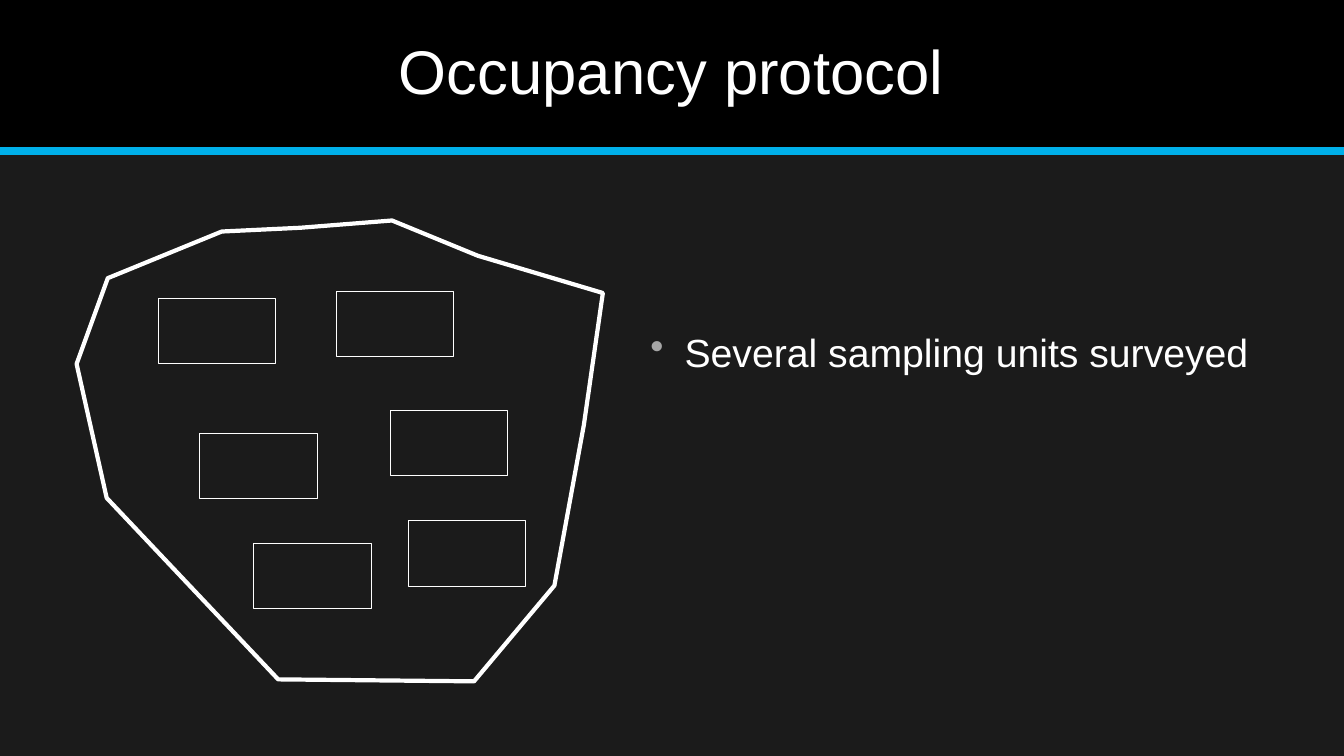
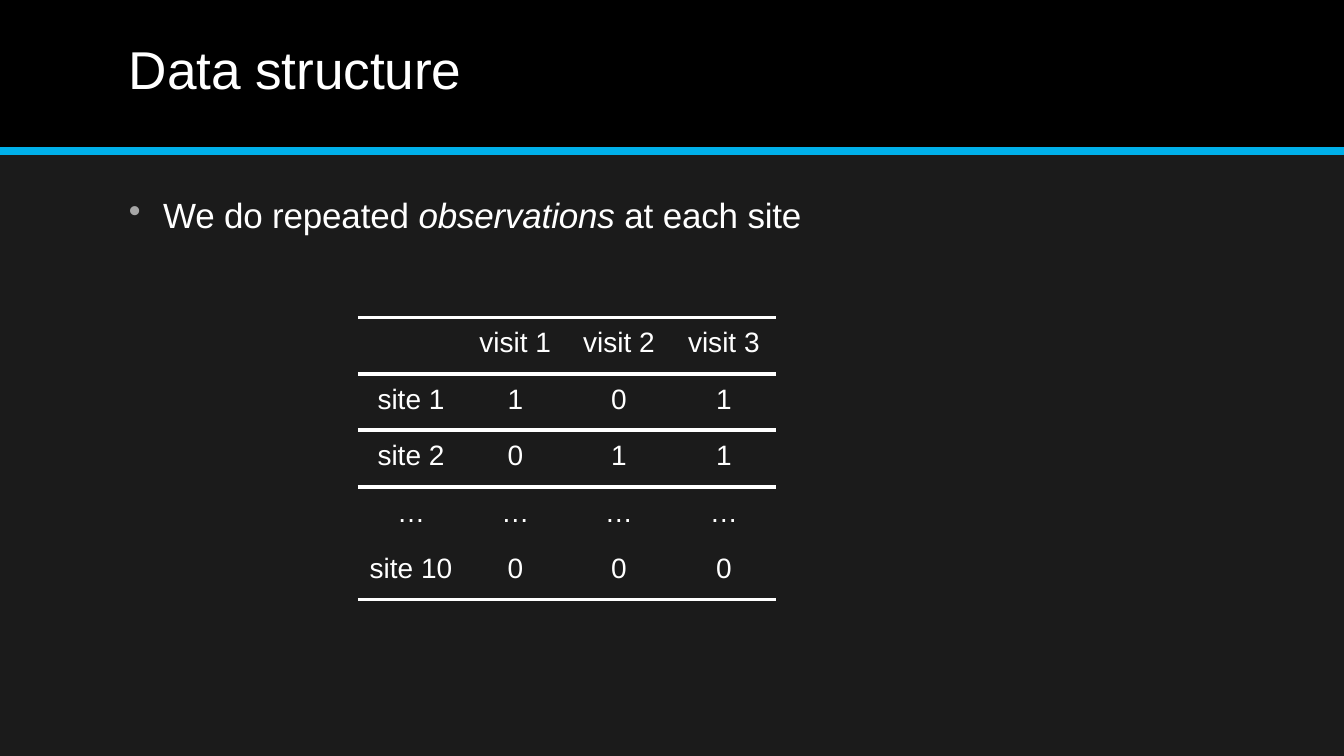
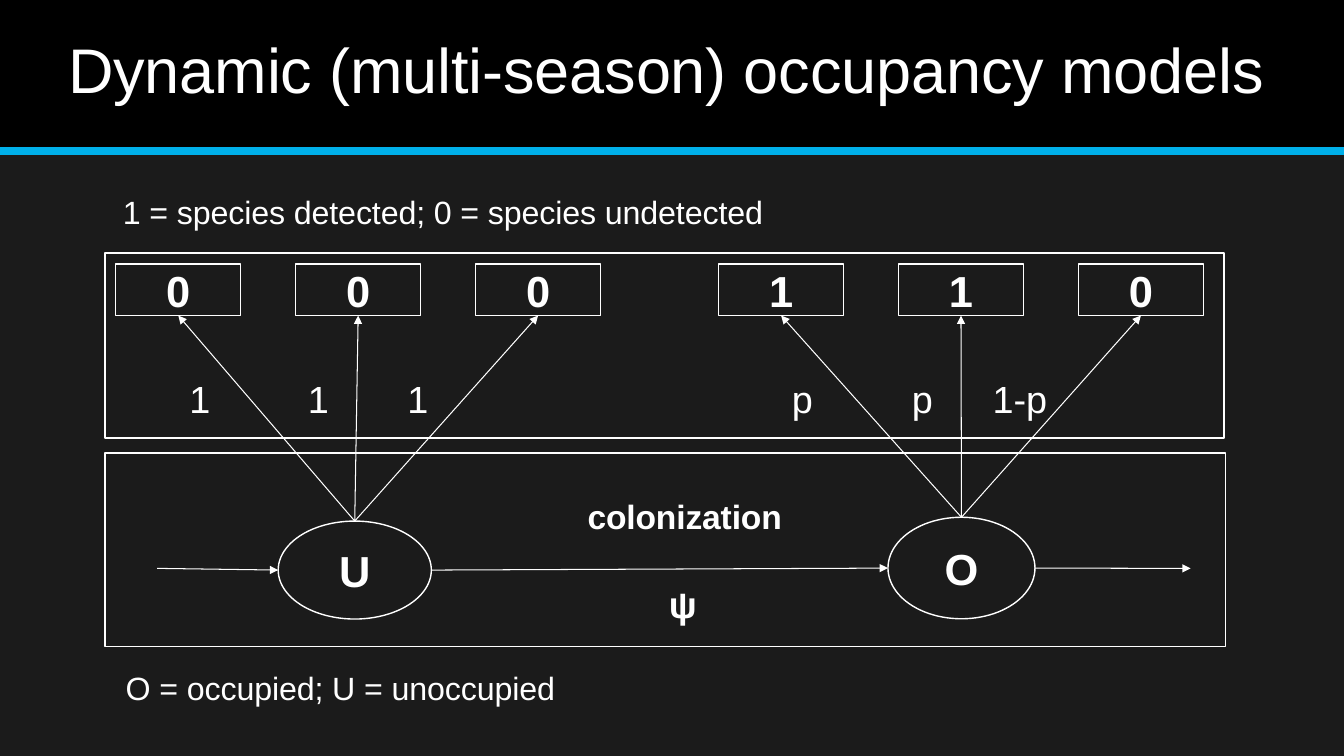
from lxml import etree
from pptx import Presentation
from pptx.dml.color import RGBColor
from pptx.enum.shapes import MSO_CONNECTOR, MSO_SHAPE
from pptx.enum.text import MSO_ANCHOR, MSO_AUTO_SIZE, PP_ALIGN
from pptx.oxml.ns import qn
from pptx.util import Pt

RECT, OVAL = MSO_SHAPE.RECTANGLE, MSO_SHAPE.OVAL
STRAIGHT = MSO_CONNECTOR.STRAIGHT
TOP, MIDDLE = MSO_ANCHOR.TOP, MSO_ANCHOR.MIDDLE
LEFT, CENTER = PP_ALIGN.LEFT, PP_ALIGN.CENTER
NO_FIT = MSO_AUTO_SIZE.NONE
JOIN_TOP, JOIN_BOTTOM = 0, 2

WIDTH, HEIGHT = 960, 540
FONT = "Arial"
INK, GROUND, BAND = "FFFFFF", "1B1B1B", "000000"
ACCENT, BULLET = "00B0EA", "A6A6A6"
NO_STYLE = "{2D5ABB26-0587-4C30-8999-92F81FD0307C}"


def rgb(value):
    return RGBColor.from_string(value)


def sub(parent, tag, **attrs):
    return etree.SubElement(parent, qn(tag), **attrs)


class Deck:
    """Shared style and the slide being built; lengths are in points."""

    def __init__(self):
        self.prs = Presentation()
        self.prs.slide_width, self.prs.slide_height = Pt(WIDTH), Pt(HEIGHT)
        self.layout = self.prs.slide_layouts[5]
        fill = self.layout.background.fill
        fill.solid()
        fill.fore_color.rgb = rgb(GROUND)
        self.s = None

    def slide(self, title, x, y, w, h, size, spacing=0):
        first = self.s is None
        self.s = self.prs.slides.add_slide(self.layout)
        if first:
            self.share_band()
        sp = self.s.shapes.title
        sp.left, sp.top, sp.width, sp.height = Pt(x), Pt(y), Pt(w), Pt(h)
        self.set_text(sp.text_frame, [(title, False)], size, spacing=spacing)

    def share_band(self):
        """Draw the title band and its rule once, then hand them to the layout."""
        band = self.shape(RECT, 0, 0, WIDTH, 105, fill=BAND, weight=None)
        rule = self.line((0, 108), (WIDTH, 108), ACCENT, 6)
        for i, part in enumerate((band, rule)):
            part.element.xpath(".//p:cNvPr")[0].set("id", str(20 + i))
            self.layout.shapes.element.insert(2 + i, part.element)

    def set_text(self, tf, runs, size, bold=False, align=LEFT, anchor=TOP,
                 spacing=0):
        tf.word_wrap, tf.auto_size, tf.vertical_anchor = True, NO_FIT, anchor
        tf.margin_left = tf.margin_right = tf.margin_bottom = 0
        tf.margin_top = Pt(1 if anchor == TOP else 0)
        return self.add_runs(tf.paragraphs[0], runs, size, bold, align, spacing)

    def add_runs(self, p, runs, size, bold=False, align=LEFT, spacing=0):
        p.alignment = align
        for text, italic in runs:
            r = p.add_run()
            r.text = text
            r.font.name, r.font.size = FONT, Pt(size)
            r.font.bold, r.font.italic = bold, italic
            r.font.color.rgb = rgb(INK)
            if spacing:
                r.font._element.set("spc", str(round(spacing * 100)))
        return p

    def text(self, text, x, y, w, h, size, **style):
        sp = self.s.shapes.add_textbox(Pt(x), Pt(y), Pt(w), Pt(h))
        runs = [(text, False)] if isinstance(text, str) else text
        return self.set_text(sp.text_frame, runs, size, **style)

    def bullet(self, text, x, y, w, h, size, **style):
        pPr = self.text(text, x, y, w, h, size, **style)._p.get_or_add_pPr()
        pPr.set("marL", str(Pt(25)))
        pPr.set("indent", str(Pt(-24.5)))
        sub(sub(pPr, "a:buClr"), "a:srgbClr", val=BULLET)
        sub(pPr, "a:buChar", char="•")

    def paint(self, sp, fill, weight):
        sp.shadow.inherit = False
        if fill:
            sp.fill.solid()
            sp.fill.fore_color.rgb = rgb(fill)
        else:
            sp.fill.background()
        if weight:
            sp.line.color.rgb, sp.line.width = rgb(INK), Pt(weight)
        else:
            sp.line.fill.background()
        return sp

    def shape(self, kind, x, y, w, h, text=None, fill=None, weight=1):
        sp = self.s.shapes.add_shape(kind, Pt(x), Pt(y), Pt(w), Pt(h))
        if text:
            self.set_text(sp.text_frame, [(text, False)], 31, True, CENTER,
                          MIDDLE)
        return self.paint(sp, fill, weight)

    def outline(self, points, weight):
        (x, y), *rest = [(Pt(px), Pt(py)) for px, py in points]
        builder = self.s.shapes.build_freeform(x, y)
        builder.add_line_segments(rest, close=True)
        return self.paint(builder.convert_to_shape(), None, weight)

    def line(self, start, end, color=INK, weight=0.75):
        cx = self.s.shapes.add_connector(
            STRAIGHT, *(Pt(v) for v in (*start, *end)))
        cx.line.color.rgb, cx.line.width = rgb(color), Pt(weight)
        sub(cx.element.spPr, "a:effectLst")
        return cx

    def arrow(self, start, end):
        cx = self.line(start, end)
        sub(cx.element.spPr.find(qn("a:ln")), "a:tailEnd", type="triangle")
        return cx

    def table(self, rows, x, y, col_widths, row_height, size, rules):
        """rules holds the row boundaries that carry a line, 0 being the top."""
        frame = self.s.shapes.add_table(
            len(rows), len(col_widths), Pt(x), Pt(y),
            Pt(sum(col_widths)), Pt(row_height * len(rows)))
        table = frame.table
        table.first_row = table.horz_banding = False
        frame.element.xpath(".//a:tableStyleId")[0].text = NO_STYLE
        for column, width in zip(table.columns, col_widths):
            column.width = Pt(width)
        for i, row in enumerate(rows):
            table.rows[i].height = Pt(row_height)
            for j, value in enumerate(row):
                cell = table.cell(i, j)
                cell.margin_left = cell.margin_right = cell.margin_bottom = 0
                cell.margin_top = Pt(7.2)
                cell.fill.solid()
                cell.fill.fore_color.rgb = rgb(GROUND)
                if value:
                    self.add_runs(cell.text_frame.paragraphs[0],
                                  [(value, False)], size, align=CENTER)
                for tag, edge in (("a:lnB", i + 1), ("a:lnT", i)):
                    if edge in rules:
                        self.border(cell, tag, 3)

    def border(self, cell, tag, weight):
        tcPr = cell._tc.get_or_add_tcPr()
        ln = sub(tcPr, tag, w=str(Pt(weight)))
        sub(sub(ln, "a:solidFill"), "a:srgbClr", val=INK)
        tcPr.insert(0, ln)


def occupancy_protocol(d):
    d.slide("Occupancy protocol", 285, 22.3, 395, 55, 44)
    # Study area
    d.outline([(158.4, 165.4), (77, 198.7), (54.7, 260), (76.2, 355.7),
               (198.7, 485.3), (338.6, 486.7), (396, 418.3), (417, 303.8),
               (430.6, 209.3), (341.3, 182.7), (280, 157.5), (214.6, 162.7)], 3)
    # Sampling units
    for x, y in ((113, 213), (240, 208), (142.5, 309.3),
                 (278.6, 293), (181, 388), (291.6, 372)):
        d.shape(RECT, x, y, 84, 46.7, weight=0.5)
    d.bullet("Several sampling units surveyed", 464, 233.3, 431, 35, 28)


def data_structure(d):
    d.slide("Data structure", 92, 25.2, 260, 48, 38, spacing=-0.1)
    d.bullet([("We do repeated ", False), ("observations ", True),
              ("at each site", False)], 91.5, 137.5, 488, 32, 25, spacing=-0.1)
    # Detection history
    d.table([["", "visit 1", "visit 2", "visit 3"],
             ["site 1", "1", "0", "1"],
             ["site 2", "0", "1", "1"],
             ["…"] * 4,
             ["site 10", "0", "0", "0"]],
            255.6, 226.8, [76, 73, 75, 75], 40.3, 20, rules={0, 1, 2, 5})


def dynamic_models(d):
    d.slide("Dynamic (multi-season) occupancy models",
            48.7, 20.9, 865, 56, 45, spacing=-0.1)
    # Observation and state frames
    d.shape(RECT, 75, 180.7, 799.3, 132.3)
    d.shape(RECT, 75, 323.5, 800.5, 138.3)

    # States, each with an arrow to its three visits
    unoccupied = d.shape(OVAL, 198.7, 372.2, 109.4, 70, "U")
    occupied = d.shape(OVAL, 634.3, 369.5, 105, 72.5, "O")
    for state, left, visits in ((unoccupied, 82.7, "000"),
                                (occupied, 513.3, "110")):
        for i, seen in enumerate(visits):
            box = d.shape(RECT, left + i * 128.5, 188.6, 89.3, 36.8, seen, GROUND)
            cx = d.arrow((0, 0), (0, 0))
            cx.begin_connect(state, JOIN_TOP)
            cx.end_connect(box, JOIN_BOTTOM)

    # Transitions
    d.arrow((112.3, 406), (198.7, 407.2))
    d.arrow((308.1, 407.2), (634.3, 405.8))
    d.arrow((739.3, 405.8), (850.5, 406))
    d.text("colonization", 419.7, 353.5, 150, 31, 24, bold=True, spacing=-0.1)
    d.text("ψ", 477.7, 414.5, 24, 34, 26.5, bold=True)

    # Detection probabilities
    for label, x in (("1", 135.3), ("1", 220), ("1", 291),
                     ("p", 565.7), ("p", 651.3), ("1-p", 709)):
        d.text(label, x, 267.7, 50, 35, 27)

    # Keys
    d.text("1 = species detected; 0 = species undetected",
           87.8, 136.5, 470, 30, 23, spacing=-0.1)
    d.text("O = occupied; U = unoccupied", 89.8, 476.7, 320, 30, 23, spacing=-0.1)


def main():
    d = Deck()
    occupancy_protocol(d)
    data_structure(d)
    dynamic_models(d)
    d.prs.save("out.pptx")


if __name__ == "__main__":
    main()
